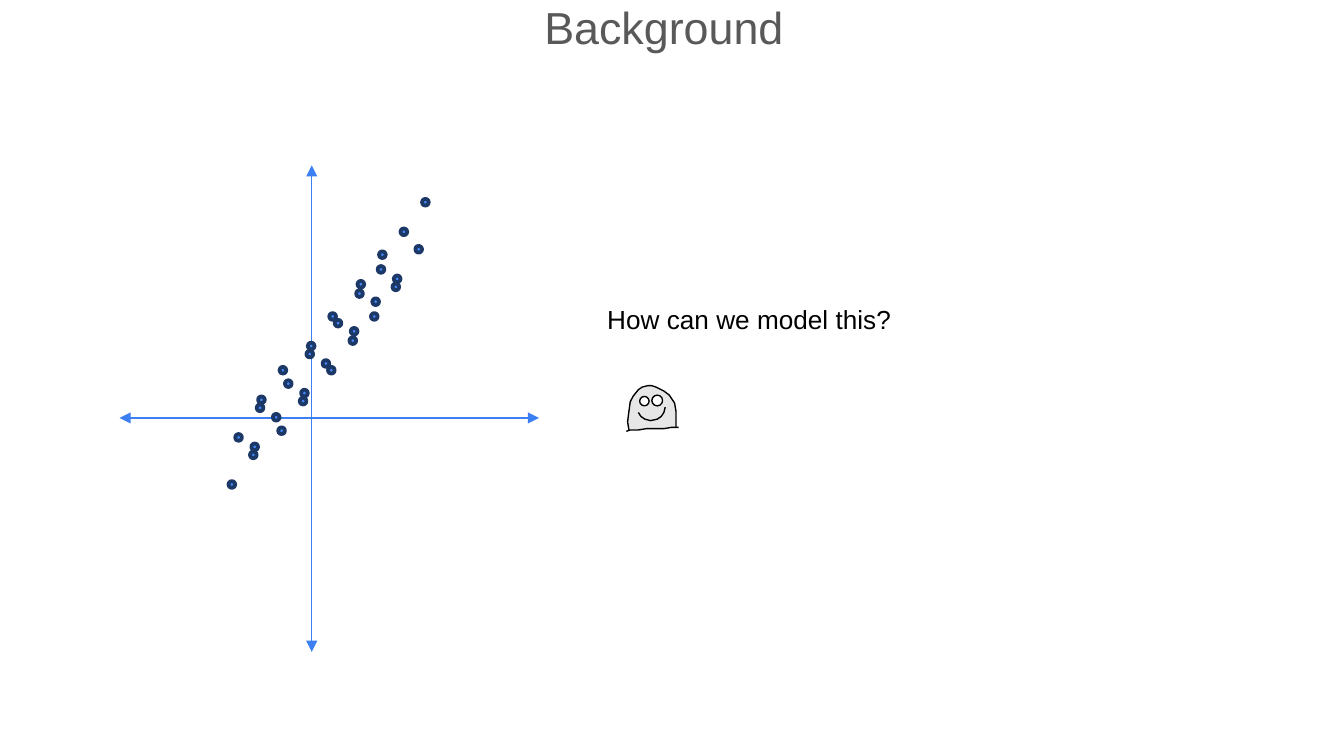
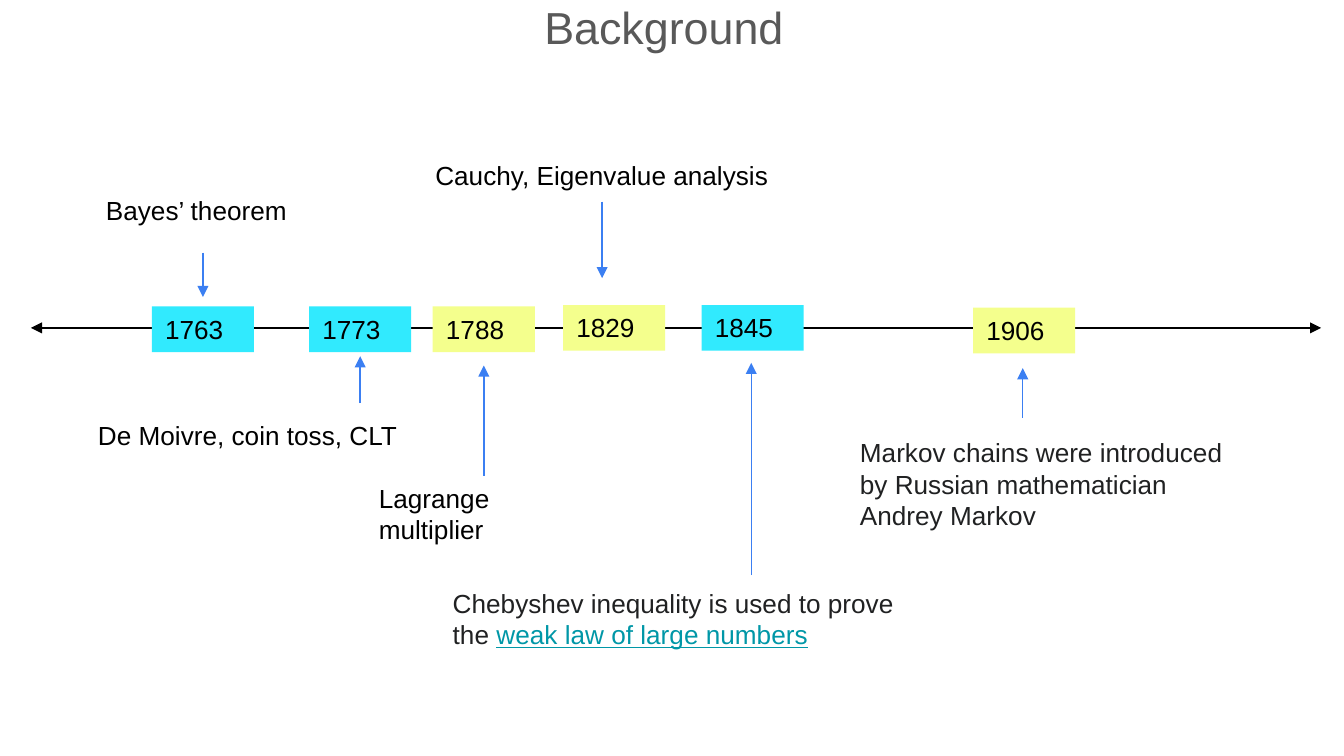
from dataclasses import dataclass

from pptx import Presentation
from pptx.dml.color import RGBColor
from pptx.enum.shapes import MSO_CONNECTOR as CONN, MSO_SHAPE as SHAPE
from pptx.enum.text import MSO_ANCHOR as ANCHOR, MSO_AUTO_SIZE as FIT, PP_ALIGN as ALIGN
from pptx.oxml.ns import qn
from pptx.util import Inches, Pt
from lxml.etree import SubElement


@dataclass(frozen=True)
class Theme:
    """Colours, font and sizes shared by the slides."""
    font: str = "Arial"
    title_size: int = 24
    body_size: int = 14
    thin: float = 0.75
    dot_line: float = 2
    title: str = "595959"
    black: str = "000000"
    white: str = "FFFFFF"
    ink: str = "202122"
    link: str = "0097A7"
    arrow: str = "3B7FF2"
    dot: str = "4285F4"
    dot_edge: str = "1B3867"
    ghost: str = "E6E6E6"
    cyan: str = "31EAFE"
    yellow: str = "F4FF8D"


T = Theme()


@dataclass(frozen=True)
class Event:
    """A year on the timeline with its arrow and caption."""
    year: str
    box: tuple
    fill: str
    arrow: tuple
    caption: tuple
    text: str
    color: str = T.black
    link: str = ""


EVENTS = [
    Event("1763", (1.13, 2.28), T.cyan, (1.51, 1.88, 2.21),
          (0.69, 1.4, 1.64, 0.34), "Bayes’ theorem"),
    Event("1773", (2.3, 2.28), T.cyan, (2.68, 3, 2.65),
          (0.63, 3.07, 2.52, 0.34), "De Moivre, coin toss, CLT"),
    Event("1788", (3.22, 2.28), T.yellow, (3.6, 3.54, 2.72),
          (2.72, 3.54, 1.83, 0.57), "Lagrange multiplier"),
    Event("1829", (4.19, 2.27), T.yellow, (4.48, 1.5, 2.07),
          (3.14, 1.14, 3.02, 0.34), "Cauchy, Eigenvalue analysis"),
    Event("1845", (5.22, 2.27), T.cyan, (5.59, 4.28, 2.7),
          (3.27, 4.32, 3.52, 0.57), "Chebyshev inequality is used to prove the ",
          T.ink, "weak law of large numbers"),
    Event("1906", (7.24, 2.29), T.yellow, (7.61, 3.11, 2.74),
          (6.3, 3.2, 3.07, 0.81),
          "Markov chains were introduced by Russian mathematician Andrey Markov", T.ink),
]

CLUSTER = [(0, 0), (-0.05, 0.35), (0.11, 0.13), (0.16, -0.22)]
CLUSTER_STARTS = [(2.29, 2.55), (1.92, 2.95), (2.66, 2.09), (2.98, 1.7),
                  (2.12, 2.83), (1.75, 3.23), (2.49, 2.38)]
LAST_START = (2.81, 1.98)

GHOST_BODY = [(4.68, 3.2), (4.67, 3.14), (4.68, 3.06), (4.69, 2.99), (4.71, 2.95),
              (4.75, 2.9), (4.78, 2.88), (4.82, 2.87), (4.85, 2.87), (4.88, 2.88),
              (4.94, 2.91), (4.98, 2.94), (5, 2.97), (5.02, 3), (5.03, 3.06),
              (5.03, 3.18)]
GHOST_FOOT = [(4.66, 3.21), (4.69, 3.2), (4.75, 3.2), (4.81, 3.19), (4.94, 3.19),
              (5, 3.18), (5.05, 3.18)]
GHOST_SMILE = [(4.75, 3.07), (4.77, 3.1), (4.8, 3.12), (4.84, 3.13), (4.89, 3.12),
               (4.92, 3.1), (4.94, 3.07), (4.95, 3.03)]


def rgb(color):
    """Turn a hex string into a colour."""
    return RGBColor.from_string(color)


def write(sp, text, size, color, link=""):
    """Set the text of a shape, with an optional underlined ending."""
    tf = sp.text_frame
    tf.word_wrap = True
    tf.auto_size = FIT.SHAPE_TO_FIT_TEXT
    tf.vertical_anchor = ANCHOR.TOP
    tf.margin_left = tf.margin_right = Inches(0.1)
    tf.margin_top = tf.margin_bottom = Inches(0.05)
    p = tf.paragraphs[0]
    p.alignment = ALIGN.LEFT
    p.font.name, p.font.size = T.font, Pt(size)
    p.font.color.rgb = rgb(color)
    p.add_run().text = text
    if link:
        r = p.add_run()
        r.text = link
        r.font.color.rgb = rgb(T.link)
        r.font.underline = True


def add_slide(prs, title):
    """Add a slide with the shared title."""
    s = prs.slides.add_slide(prs.slide_layouts[5])
    sp = s.shapes.title
    sp.left, sp.top, sp.width, sp.height = map(Inches, (3.95, -0.05, 2.11, 0.5))
    write(sp, title, T.title_size, T.title)
    return s


def add_text(s, box, text, color=T.black, link=""):
    """Add a wrapped text box."""
    write(s.shapes.add_textbox(*map(Inches, box)), text, T.body_size, color, link)


def style(sp, fill=None, line=None, width=T.thin):
    """Set fill and outline, without a shadow."""
    sp.shadow.inherit = False
    if fill:
        sp.fill.solid()
        sp.fill.fore_color.rgb = rgb(fill)
    else:
        sp.fill.background()
    if line:
        sp.line.color.rgb = rgb(line)
        sp.line.width = Pt(width)
    else:
        sp.line.fill.background()


def add_shape(shapes, kind, box, fill, line=None, width=T.thin):
    """Add a styled preset shape."""
    sp = shapes.add_shape(kind, *map(Inches, box))
    style(sp, fill, line, width)
    return sp


def add_stroke(shapes, points, fill=None):
    """Add an open outline through the points."""
    pts = [(Inches(x), Inches(y)) for x, y in points]
    builder = shapes.build_freeform(*pts[0])
    builder.add_line_segments(pts[1:], close=False)
    style(builder.convert_to_shape(), fill, T.black)


def add_arrow(s, start, end, color=T.arrow, both=False):
    """Add a straight arrow, pointed at one or both ends."""
    c = s.shapes.add_connector(CONN.STRAIGHT, *map(Inches, start + end))
    c.line.color.rgb = rgb(color)
    c.line.width = Pt(T.thin)
    ln = c.line._get_or_add_ln()
    for tag in ("a:headEnd", "a:tailEnd") if both else ("a:tailEnd",):
        SubElement(ln, qn(tag), type="triangle")
    SubElement(c._element.spPr, qn("a:effectLst"))


def add_cluster(s, start, offsets):
    """Add one cluster of data points."""
    for dx, dy in offsets:
        add_shape(s.shapes, SHAPE.OVAL, (start[0] + dx, start[1] + dy, 0.05, 0.05),
                  T.dot, T.dot_edge, T.dot_line)


def add_ghost(s):
    """Draw the smiling ghost as a group."""
    shapes = s.shapes.add_group_shape().shapes
    add_stroke(shapes, GHOST_BODY, T.ghost)
    add_stroke(shapes, GHOST_FOOT)
    for eye in ((4.76, 2.95, 0.07, 0.07), (4.85, 2.94, 0.08, 0.08)):
        add_shape(shapes, SHAPE.OVAL, eye, T.white, T.black)
    add_stroke(shapes, GHOST_SMILE)


def add_event(s, event):
    """Add a year box with its arrow and caption."""
    sp = add_shape(s.shapes, SHAPE.RECTANGLE, event.box + (0.76, 0.34), event.fill)
    write(sp, event.year, T.body_size, T.black)
    x, start, end = event.arrow
    add_arrow(s, (x, start), (x, end))
    add_text(s, event.caption, event.text, event.color, event.link)


def build_scatter(prs):
    """Build the slide with the scattered points."""
    s = add_slide(prs, "Background")
    add_arrow(s, (0.89, 3.11), (4.01, 3.11), both=True)
    add_arrow(s, (2.32, 1.23), (2.32, 4.85), both=True)
    for start in CLUSTER_STARTS:
        add_cluster(s, start, CLUSTER)
    add_cluster(s, LAST_START, CLUSTER[:3])
    add_text(s, (4.42, 2.21, 3.66, 0.34), "How can we model this?")
    add_ghost(s)


def build_timeline(prs):
    """Build the slide with the timeline."""
    s = add_slide(prs, "Background")
    add_arrow(s, (0.23, 2.44), (9.83, 2.44), T.black, both=True)
    for event in EVENTS:
        add_event(s, event)


def main():
    """Build and save the presentation."""
    prs = Presentation()
    prs.slide_width = Inches(10)
    prs.slide_height = prs.slide_width * 9 // 16
    build_scatter(prs)
    build_timeline(prs)
    prs.save("out.pptx")


if __name__ == "__main__":
    main()
